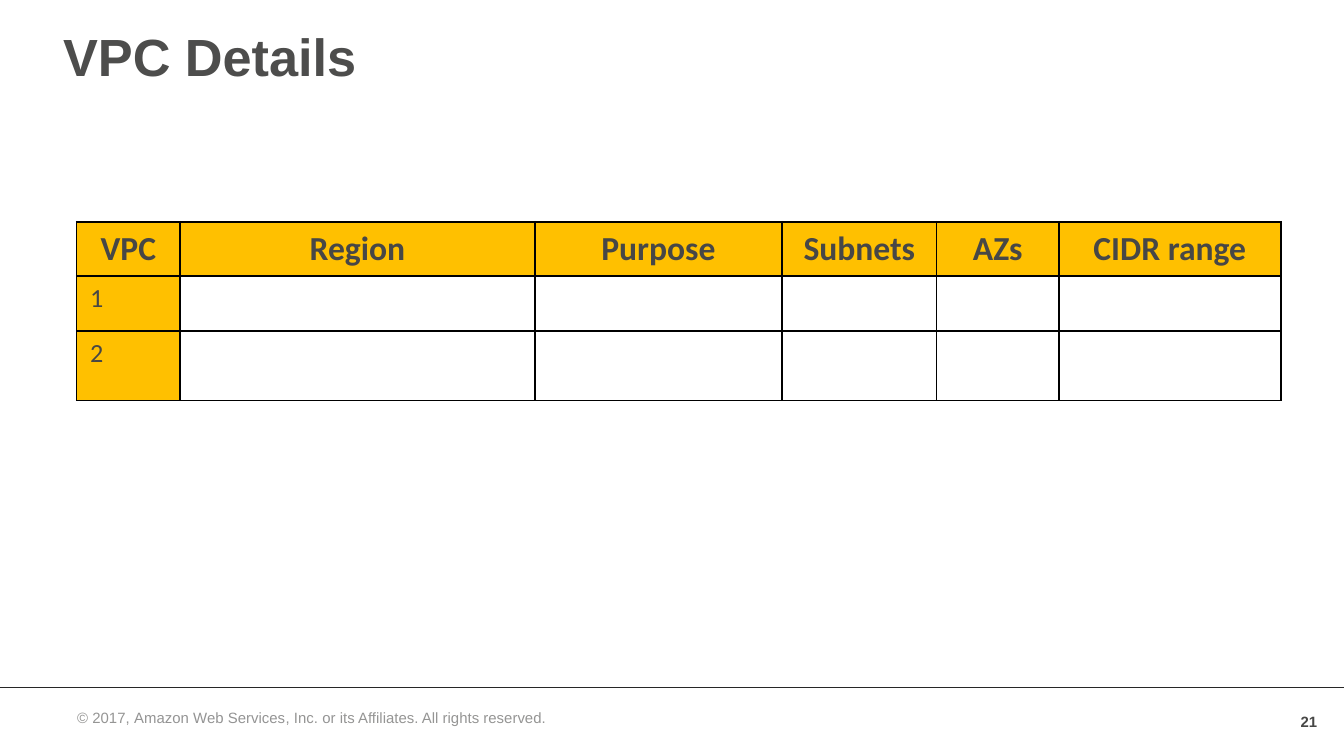
import dataclasses
import typing

import lxml.etree
import pptx
import pptx.dml.color
import pptx.enum.shapes
import pptx.enum.text
import pptx.oxml
import pptx.oxml.ns
import pptx.util

Inches = pptx.util.Inches
Pt = pptx.util.Pt
ALIGN = pptx.enum.text.PP_ALIGN
ANCHOR = pptx.enum.text.MSO_ANCHOR

SLIDE_WIDTH = 10
SLIDE_HEIGHT = SLIDE_WIDTH * 9 / 16
AMBER = "FFC000"
CHARCOAL = "474746"
HEADINGS = ["VPC", "Region", "Purpose", "Subnets", "AZs", "CIDR range"]
VPC_NUMBERS = ["1", "2"]
COLUMN_WIDTHS = [0.77, 2.64, 1.84, 1.15, 0.91, 1.65]
ROW_HEIGHTS = [0.4, 0.4, 0.52]


@dataclasses.dataclass
class Style:
    size: float
    color: str
    bold: bool = False
    font: str = "Arial"
    align: ALIGN = ALIGN.LEFT
    anchor: ANCHOR = ANCHOR.TOP


@dataclasses.dataclass
class Label:
    left: float
    top: float
    width: float
    height: float
    runs: list[tuple[str, str]]
    style: Style


@dataclasses.dataclass
class Rule:
    start: float
    end: float
    top: float = 5.11


TITLE_STYLE = Style(28, "4D4D4C", bold=True)
HEADING_STYLE = Style(18, CHARCOAL, bold=True, font="Calibri", align=ALIGN.CENTER)
NUMBER_STYLE = Style(14, CHARCOAL, font="Calibri")
PAGE_STYLE = Style(8, CHARCOAL, bold=True, align=ALIGN.RIGHT, anchor=ANCHOR.MIDDLE)
COPYRIGHT_STYLE = Style(8, "959594", align=ALIGN.CENTER)

TITLE = Label(0.37, 0.13, 8.97, 0.61, [("VPC Details", "4D4D4C")], TITLE_STYLE)
FOOTERS = [
    Label(9.55, 5.22, 0.35, 0.3, [("21", CHARCOAL)], PAGE_STYLE),
    Label(0.37, 5.22, 3.9, 0.3, [
        ("© 2017, ", "959594"),
        ("Amazon Web Services", "949494"),
        (", Inc. ", "959594"),
        ("or", "949494"),
        (" its Affiliates. All rights reserved.", "959594"),
    ], COPYRIGHT_STYLE),
]
FOOTER_RULES = [Rule(0, SLIDE_WIDTH), Rule(0.1, SLIDE_WIDTH - 0.1)]


def rgb(value: str) -> pptx.dml.color.RGBColor:
    return pptx.dml.color.RGBColor.from_string(value)


def apply(target: typing.Any, values: dict[str, typing.Any]) -> None:
    for name, value in values.items():
        setattr(target, name, value)


def write(frame: typing.Any, runs: list[tuple[str, str]], style: Style) -> None:
    paragraph = frame.paragraphs[0]
    paragraph.alignment = style.align
    for text, color in runs:
        run = paragraph.add_run()
        run.text = text
        apply(run.font, {"name": style.font, "size": Pt(style.size), "bold": style.bold})
        run.font.color.rgb = rgb(color)


def fill_label(shape: typing.Any, label: Label) -> None:
    apply(shape, {
        "left": Inches(label.left),
        "top": Inches(label.top),
        "width": Inches(label.width),
        "height": Inches(label.height),
    })
    apply(shape.text_frame, {
        "word_wrap": True,
        "auto_size": pptx.enum.text.MSO_AUTO_SIZE.NONE,
        "vertical_anchor": label.style.anchor,
    })
    write(shape.text_frame, label.runs, label.style)


def draw_rule(slide: typing.Any, rule: Rule) -> None:
    line = slide.shapes.add_connector(
        pptx.enum.shapes.MSO_CONNECTOR.STRAIGHT,
        Inches(rule.start), Inches(rule.top), Inches(rule.end), Inches(rule.top),
    )
    line.line.color.rgb = rgb("272727")
    line.line.width = Pt(0.25)
    lxml.etree.SubElement(line._element.spPr, pptx.oxml.ns.qn("a:effectLst"))


def border(cell: typing.Any) -> None:
    properties = cell._tc.get_or_add_tcPr()
    for side in ("lnL", "lnR", "lnT", "lnB"):
        properties.append(pptx.oxml.parse_xml(
            f'<a:{side} {pptx.oxml.ns.nsdecls("a")} w="{Pt(1)}">'
            f'<a:solidFill><a:srgbClr val="000000"/></a:solidFill></a:{side}>'
        ))


def draw_vpc_table(slide: typing.Any) -> None:
    table = slide.shapes.add_table(
        len(ROW_HEIGHTS), len(COLUMN_WIDTHS), Inches(0.57), Inches(1.65),
        Inches(sum(COLUMN_WIDTHS)), Inches(sum(ROW_HEIGHTS)),
    ).table
    apply(table, {"first_row": False, "horz_banding": False})
    for column, width in zip(table.columns, COLUMN_WIDTHS):
        column.width = Inches(width)
    for row, height in zip(table.rows, ROW_HEIGHTS):
        row.height = Inches(height)
    for cell in table.iter_cells():
        border(cell)
        cell.fill.background()
    headed = [(table.cell(0, i), text, HEADING_STYLE) for i, text in enumerate(HEADINGS)]
    numbered = [(table.cell(i, 0), text, NUMBER_STYLE) for i, text in enumerate(VPC_NUMBERS, 1)]
    for cell, text, style in headed + numbered:
        cell.fill.solid()
        cell.fill.fore_color.rgb = rgb(AMBER)
        write(cell.text_frame, [(text, style.color)], style)


def main() -> None:
    deck = pptx.Presentation()
    apply(deck, {"slide_width": Inches(SLIDE_WIDTH), "slide_height": Inches(SLIDE_HEIGHT)})
    slide = deck.slides.add_slide(deck.slide_layouts.get_by_name("Title Only"))
    for rule in FOOTER_RULES:
        draw_rule(slide, rule)
    fill_label(slide.shapes.title, TITLE)
    draw_vpc_table(slide)
    for footer in FOOTERS:
        fill_label(slide.shapes.add_textbox(0, 0, 0, 0), footer)
    deck.save("out.pptx")


if __name__ == "__main__":
    main()
